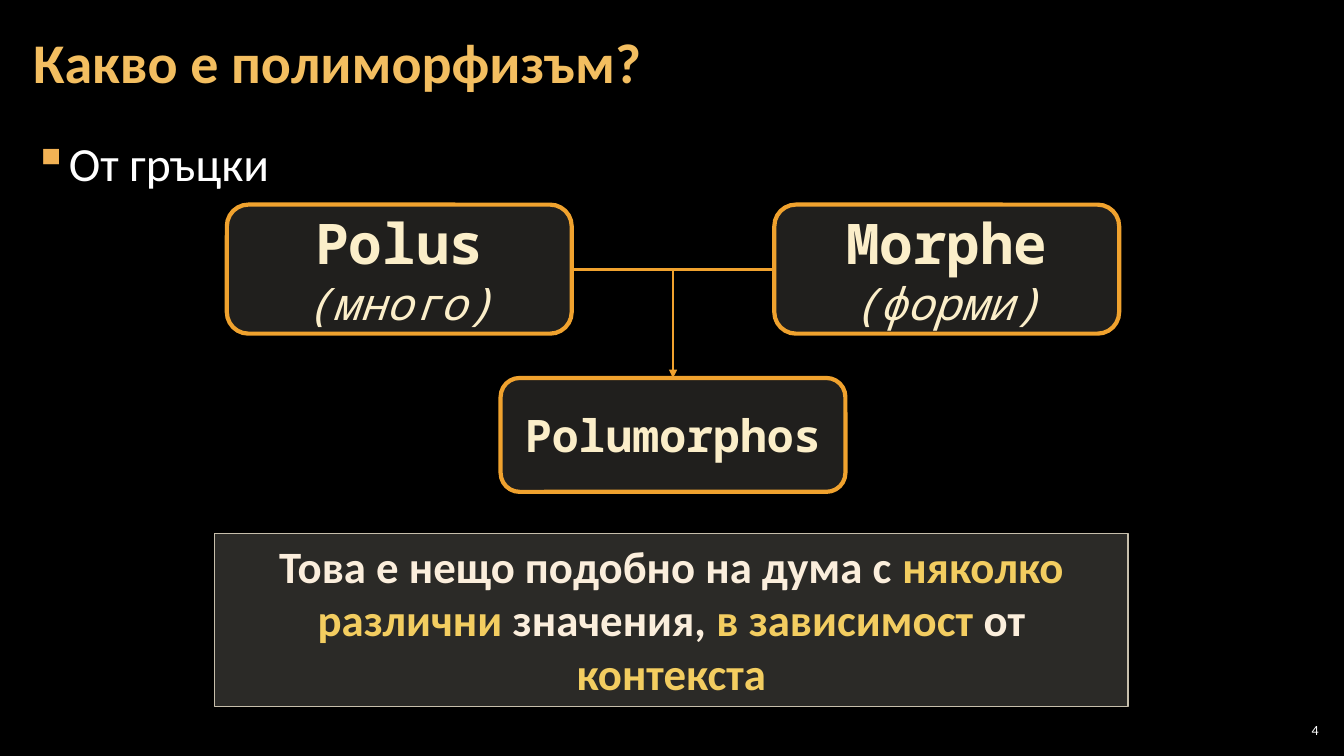
from pptx import Presentation
from pptx import util as u
from pptx.dml.color import RGBColor
from pptx.enum import shapes, text
from pptx.oxml.ns import qn
from lxml import etree

GOLD, CREAM, WHITE = "F0A22E", "FBEEC9", "FFFFFF"
MID, TOP = text.MSO_ANCHOR.MIDDLE, text.MSO_ANCHOR.TOP
LEFT, CENTER, RIGHT = text.PP_ALIGN.LEFT, text.PP_ALIGN.CENTER, text.PP_ALIGN.RIGHT


def px(n):
    return u.Emu(int(n * 9144))


def rgb(value):
    return RGBColor.from_string(value)


def sub(parent, tag, **attrs):
    return etree.SubElement(parent, qn(tag), attrs)


def apply(target, values):
    for name, value in values.items():
        setattr(target, name, value)


def add_run(p, words, color, size, **font):
    r = p.add_run()
    r.text = words
    r.font.color.rgb = rgb(color)
    apply(r.font, {"size": u.Pt(size), "name": "Calibri", **font})


def text_box(s, box, anchor, side, align=LEFT):
    tf = s.shapes.add_textbox(*map(px, box)).text_frame
    apply(tf, {"word_wrap": True, "vertical_anchor": anchor,
               "margin_left": px(side), "margin_right": px(side),
               "margin_top": px(4), "margin_bottom": px(4)})
    p = tf.paragraphs[0]
    p.alignment = align
    return p


def panel(s, kind, box, opacity, line, width, anchor, wrap):
    sp = s.shapes.add_shape(kind, *map(px, box))
    sp.shadow.inherit = False
    sp.fill.solid()
    sp.fill.fore_color.rgb = rgb("D9D5C7")
    color = sp.fill._xPr.find(qn("a:solidFill"))[0]
    sub(color, "a:alpha", val=str(opacity * 1000))
    sp.line.color.rgb = rgb(line)
    sp.line.width = u.Pt(width)
    apply(sp.text_frame, {"vertical_anchor": anchor, "word_wrap": wrap})
    return sp


def title(s, box, words):
    p = text_box(s, box, MID, 12)
    p.line_spacing = 0.9
    add_run(p, words, "F3BE60", 40, bold=True)


def body(s, box, words):
    p = text_box(s, box, TOP, 12)
    p.line_spacing = 1.05
    pPr = p._p.get_or_add_pPr()
    apply_indent = {"marL": px(33), "indent": -px(33)}
    for name, value in apply_indent.items():
        pPr.set(name, str(value))
    sub(sub(pPr, "a:buClr"), "a:srgbClr", val="F2B254")
    sub(pPr, "a:buChar", char="▪")
    add_run(p, words, WHITE, 34)


def word_box(s, box, lines):
    sp = panel(s, shapes.MSO_SHAPE.ROUNDED_RECTANGLE, box, 15, GOLD, 3, MID, False)
    tf = sp.text_frame
    for i, (words, size, bold) in enumerate(lines):
        p = tf.add_paragraph() if i else tf.paragraphs[0]
        p.alignment = CENTER
        add_run(p, words, CREAM, size, name="Noto Sans Mono", bold=bold, italic=not bold)
    return sp


def connector(s, x1, y1, x2, y2):
    c = s.shapes.add_connector(shapes.MSO_CONNECTOR.STRAIGHT, *map(px, (x1, y1, x2, y2)))
    c.line.color.rgb = rgb(GOLD)
    c.line.width = u.Pt(2)
    sub(c._element.spPr, "a:effectLst")
    return c


def etymology(s, box):
    x, y, w, h = box
    bw, bh, result_h = 342, 128, 113
    mid_x, mid_y, result_y = x + w / 2, y + bh / 2, y + h - result_h
    polus, morphe = [
        word_box(s, (left, y, bw, bh), [(greek, 40, True), (meaning, 32, False)])
        for left, greek, meaning in ((x, "Polus", "(много)"),
                                     (x + w - bw, "Morphe", "(форми)"))]
    result = word_box(s, (mid_x - bw / 2, result_y, bw, result_h),
                      [("Polumorphos", 32, True)])
    bridge = connector(s, x + bw, mid_y, x + w - bw, mid_y)
    bridge.begin_connect(polus, 3)
    bridge.end_connect(morphe, 1)
    arrow = connector(s, mid_x, mid_y, mid_x, result_y)
    arrow.end_connect(result, 0)
    sub(arrow.line._get_or_add_ln(), "a:tailEnd", type="triangle")


def summary(s, box, parts):
    sp = panel(s, shapes.MSO_SHAPE.RECTANGLE, box, 20, "C7BFAC", 1, TOP, True)
    p = sp.text_frame.paragraphs[0]
    p.alignment = CENTER
    for i, words in enumerate(parts):
        add_run(p, words, "F3CD60" if i % 2 else "FBEEDC", 32, bold=True)


def page_number(s, box, number):
    add_run(text_box(s, box, MID, 4, RIGHT), number, WHITE, 10)


def main():
    prs = Presentation()
    apply(prs, {"slide_width": px(1333), "slide_height": px(750)})
    s = prs.slides.add_slide(prs.slide_layouts[6])
    s.background.fill.solid()
    s.background.fill.fore_color.rgb = rgb("000000")
    page_number(s, (1265, 714, 47, 21), "4")
    body(s, (21, 126, 1291, 609), "От гръцки")
    title(s, (21, 4, 1047, 121), "Какво е полиморфизъм?")
    etymology(s, (225, 203, 885, 285))
    summary(s, (213, 529, 906, 172),
            ("Това е нещо подобно на дума с ", "няколко различни ", "значения, ",
             "в зависимост ", "от ", "контекста"))
    prs.save("out.pptx")


if __name__ == "__main__":
    main()
